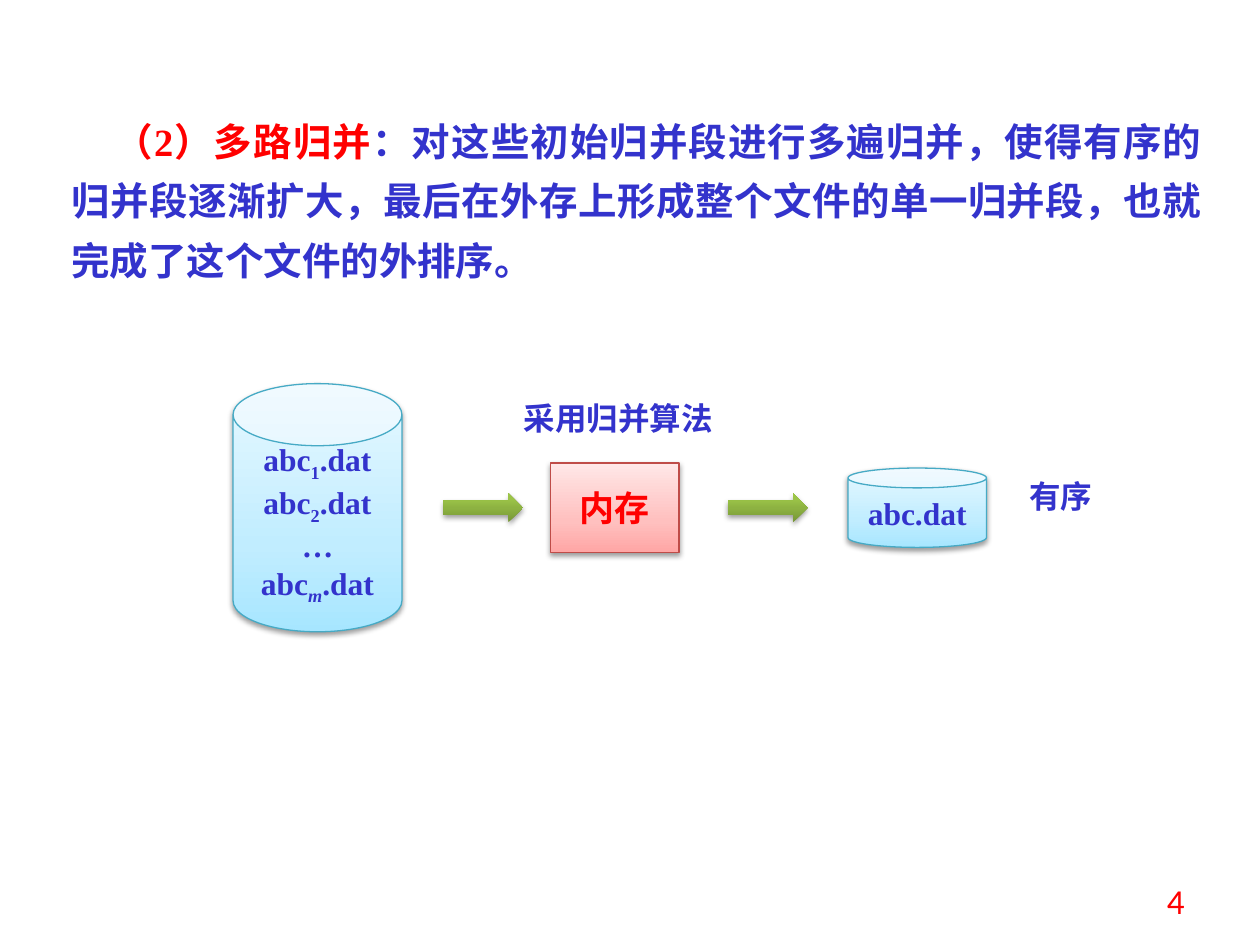
import pptx
import pptx.util
import pptx.oxml
from lxml import etree
from pptx.dml.color import RGBColor
from pptx.enum.shapes import MSO_SHAPE
from pptx.enum.text import MSO_ANCHOR, PP_ALIGN
from pptx.oxml.ns import nsdecls, qn

Inches, Pt = pptx.util.Inches, pptx.util.Pt


class Theme:
    blue, red = "3333CC", "FF0000"
    serif, cjk, number = "Times New Roman", "Noto Sans CJK SC", "Calibri"
    body, box, label = 22, 20, 18
    # Gradient stops run from the bottom of a shape to its top
    disk = dict(stops=[(0, "A7E6FF"), (35, "C1EDFF"), (100, "E7F8FF")], line="46AAC5")
    memory = dict(stops=[(0, "FFA6A5"), (35, "FFC0BF"), (100, "FFE7E7")], line="BF4C48")
    arrow = dict(stops=[(0, "779737"), (80, "9BC348"), (100, "9DC746")], line=None)


# Content: a paragraph is a list of (text, changes) runs
INTRO = [[("（2）多路归并", dict(color=Theme.red)),
          ("：对这些初始归并段进行多遍归并，使得有序的归并段逐渐扩大，"
           "最后在外存上形成整个文件的单一归并段，也就完成了这个文件的外排序。", {})]]


def segment(index, **changes):
    return [("abc", {}), (index, dict(sub=True, **changes)), (".dat", {})]


SEGMENTS = [segment("1"), segment("2"), [("…", {})], segment("m", italic=True)]
OUTPUT = [[("abc.dat", {})]]
MEMORY = [[("内存", {})]]

# Flow from left to right on one axis: kind, left, width, height, style, adjustment, text, run format
AXIS = 4.03
DISK_TEXT = dict(font=Theme.serif, size=Theme.label)
MEMORY_TEXT = dict(font=Theme.cjk, size=Theme.box, color=Theme.red)
ARROW = (0.63, 0.23, Theme.arrow, None, None, {})
FLOW = [
    (MSO_SHAPE.CAN, 1.85, 1.34, 1.97, Theme.disk, 0.368, SEGMENTS, DISK_TEXT),
    (MSO_SHAPE.RIGHT_ARROW, 3.52, *ARROW),
    (MSO_SHAPE.RECTANGLE, 4.37, 1.02, 0.71, Theme.memory, None, MEMORY, MEMORY_TEXT),
    (MSO_SHAPE.RIGHT_ARROW, 5.78, *ARROW),
    (MSO_SHAPE.CAN, 6.73, 1.1, 0.63, Theme.disk, 0.25, OUTPUT, DISK_TEXT),
]
LABELS = [("采用归并算法", 4.06, 3.12, 1.81), ("有序", 8.07, 3.74, 0.94)]


def add_run(p, text, font=Theme.serif, size=Theme.label, color=Theme.blue,
            bold=True, italic=False, sub=False):
    r = p.add_run()
    r.text = text
    f = r.font
    f.name, f.size, f.bold, f.italic = font, Pt(size), bold, italic
    f.color.rgb = RGBColor.from_string(color)
    rPr = r._r.get_or_add_rPr()
    etree.SubElement(rPr, qn("a:ea")).set("typeface", Theme.cjk)
    if sub:
        rPr.set("baseline", "-25000")


def write(tf, paragraphs, align, **base):
    for i, runs in enumerate(paragraphs):
        p = tf.paragraphs[0] if i == 0 else tf.add_paragraph()
        p.alignment = align
        for text, changes in runs:
            add_run(p, text, **{**base, **changes})


def add_text(s, box, paragraphs, align=PP_ALIGN.LEFT, **base):
    tf = s.shapes.add_textbox(*map(Inches, box)).text_frame
    tf.word_wrap = True
    write(tf, paragraphs, align, **base)
    return tf


def paint(sp, stops, line):
    """Vertical gradient, thin outline and a soft shadow below."""
    if line:
        sp.line.color.rgb = RGBColor.from_string(line)
        sp.line.width = Pt(0.75)
    else:
        sp.line.fill.background()
    marks = "".join(f'<a:gs pos="{pos * 1000}"><a:srgbClr val="{c}"/></a:gs>' for pos, c in stops)
    spPr = sp._element.spPr
    spPr.find(qn("a:prstGeom")).addnext(pptx.oxml.parse_xml(
        f'<a:gradFill {nsdecls("a")} rotWithShape="1"><a:gsLst>{marks}</a:gsLst>'
        '<a:lin ang="16200000" scaled="0"/></a:gradFill>'))
    spPr.append(pptx.oxml.parse_xml(
        f'<a:effectLst {nsdecls("a")}><a:outerShdw blurRad="{Pt(3.1)}" dist="{Pt(1.6)}" '
        'dir="5400000" rotWithShape="0"><a:srgbClr val="000000"><a:alpha val="38000"/>'
        '</a:srgbClr></a:outerShdw></a:effectLst>'))


def main():
    prs = pptx.Presentation()
    prs.slide_width, prs.slide_height = Inches(10), Inches(7.5)
    s = prs.slides.add_slide(prs.slide_layouts[6])

    # Introduction
    tf = add_text(s, (0.47, 0.78, 9.17, 1.53), INTRO, PP_ALIGN.JUSTIFY, size=Theme.body)
    p = tf.paragraphs[0]
    p.line_spacing = Pt(34)
    p._p.get_or_add_pPr().set("indent", str(Inches(0.34)))

    # Flow from the sorted segments to the merged file
    for kind, left, width, height, style, adj, text, base in FLOW:
        sp = s.shapes.add_shape(kind, *map(Inches, (left, AXIS - height / 2, width, height)))
        if adj is not None:
            sp.adjustments[0] = adj
        paint(sp, **style)
        if text:
            sp.text_frame.word_wrap = False
            sp.text_frame.vertical_anchor = MSO_ANCHOR.MIDDLE
            write(sp.text_frame, text, PP_ALIGN.CENTER, **base)

    # Labels
    for text, left, top, width in LABELS:
        add_text(s, (left, top, width, 0.4), [[(text, {})]], font=Theme.cjk)

    # Page number
    tf = add_text(s, (7.17, 6.95, 2.33, 0.4), [[("4", {})]], PP_ALIGN.RIGHT,
                  font=Theme.number, size=Theme.box, color=Theme.red, bold=False)
    tf.vertical_anchor = MSO_ANCHOR.MIDDLE

    prs.save("out.pptx")


if __name__ == "__main__":
    main()
